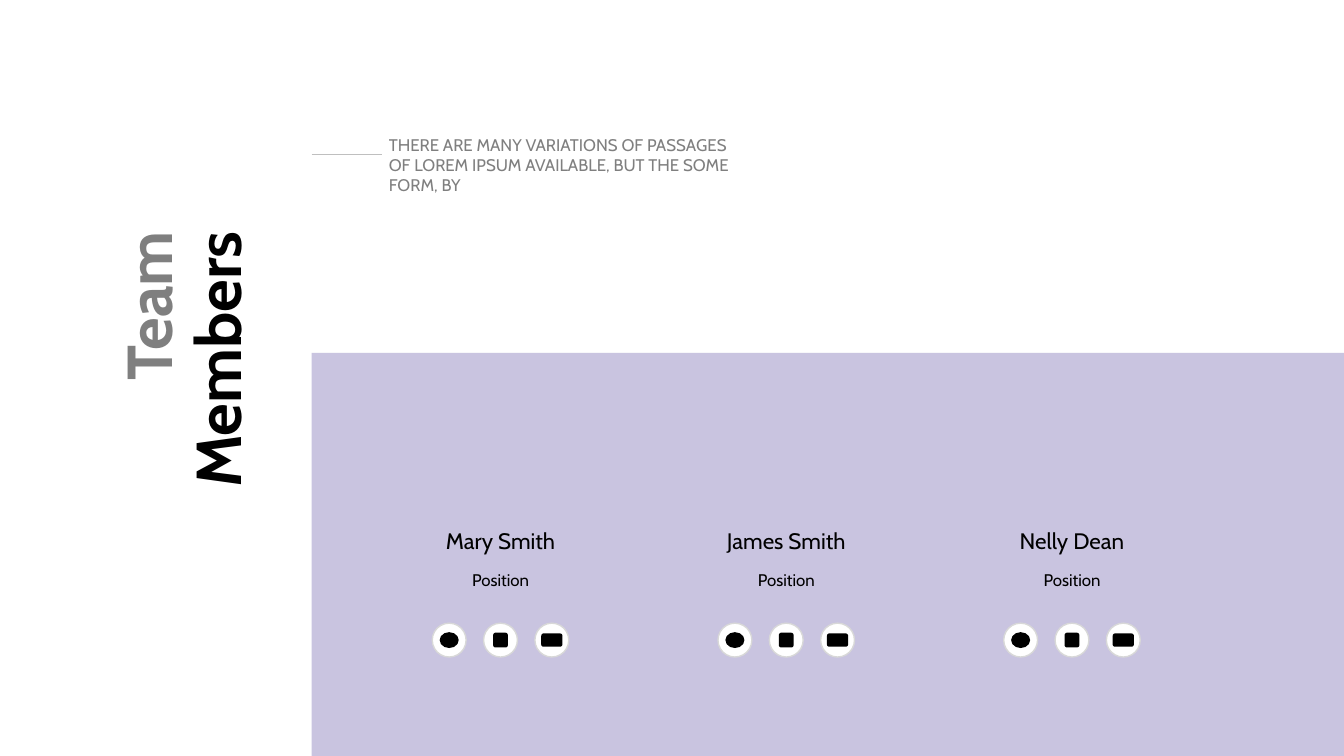
from dataclasses import dataclass

from lxml import etree
from pptx import Presentation
from pptx.dml.color import RGBColor
from pptx.enum.shapes import MSO_CONNECTOR, MSO_SHAPE
from pptx.enum.text import MSO_ANCHOR, MSO_AUTO_SIZE, PP_ALIGN
from pptx.oxml.ns import qn
from pptx.util import Cm, Pt

OVAL, RECT = MSO_SHAPE.OVAL, MSO_SHAPE.RECTANGLE
ROUNDED = MSO_SHAPE.ROUNDED_RECTANGLE
LEFT, CENTER, RIGHT = PP_ALIGN.LEFT, PP_ALIGN.CENTER, PP_ALIGN.RIGHT
TOP = MSO_ANCHOR.TOP
FIT_SHAPE, NO_FIT = MSO_AUTO_SIZE.SHAPE_TO_FIT_TEXT, MSO_AUTO_SIZE.NONE
STRAIGHT = MSO_CONNECTOR.STRAIGHT

FONT = "Cabin"
COLORS = {
    "panel": "A69DCC",
    "black": "000000",
    "white": "FFFFFF",
    "gray": "7F7F7F",
    "ring": "D8D8D8",
    "rule": "BFBFBF",
}

# Member columns and icon rows, in cm
FIRST_CENTER, MEMBER_STEP = 9.46, 5.4
ICON_Y, ICON_STEP, ICON_SIZE = 12.1, 0.97, 0.64


@dataclass
class Member:
    name: str
    position: str


@dataclass
class Icon:
    shape: int
    width: float
    height: float


MEMBERS = [
    Member("Mary Smith", "Position"),
    Member("James Smith", "Position"),
    Member("Nelly Dean", "Position"),
]
ICONS = [Icon(OVAL, 0.36, 0.3), Icon(ROUNDED, 0.28, 0.28), Icon(ROUNDED, 0.4, 0.25)]


def rgb(name: str) -> RGBColor:
    return RGBColor.from_string(COLORS[name])


def set_frame(tf, auto_size) -> None:
    tf.word_wrap = True
    tf.auto_size = auto_size
    tf.vertical_anchor = TOP
    tf.margin_left = tf.margin_right = Cm(0.18)
    tf.margin_top = tf.margin_bottom = Cm(0.1)


def add_run(p, text: str, size: float, color: str, bold: bool = False) -> None:
    r = p.add_run()
    r.text = text
    r.font.name = FONT
    r.font.size = Pt(size)
    r.font.bold = bold
    r.font.color.rgb = rgb(color)


def add_text(shapes, text: str, left: float, top: float, width: float, height: float,
             size: float, color: str, align=LEFT) -> None:
    box = shapes.add_textbox(Cm(left), Cm(top), Cm(width), Cm(height))
    set_frame(box.text_frame, FIT_SHAPE)
    p = box.text_frame.paragraphs[0]
    p.alignment = align
    add_run(p, text, size, color)


def add_centered(shapes, kind, x: float, y: float, width: float, height: float, color: str):
    sp = shapes.add_shape(kind, Cm(x - width / 2), Cm(y - height / 2), Cm(width), Cm(height))
    sp.shadow.inherit = False
    sp.fill.solid()
    sp.fill.fore_color.rgb = rgb(color)
    sp.line.fill.background()
    return sp


def add_member(shapes, member: Member, center: float) -> None:
    add_text(shapes, member.name, center - 1.93, 9.86, 3.86, 0.71, 12, "black", CENTER)
    add_text(shapes, member.position, center - 1.5, 10.67, 3, 0.58, 9, "black", CENTER)
    group = shapes.add_group_shape().shapes
    for i, icon in enumerate(ICONS):
        x = center + (i - 1) * ICON_STEP
        ring = add_centered(group, OVAL, x, ICON_Y, ICON_SIZE, ICON_SIZE, "white")
        ring.line.color.rgb = rgb("ring")
        ring.line.width = Pt(0.75)
        add_centered(group, icon.shape, x, ICON_Y, icon.width, icon.height, "black")


def main() -> None:
    prs = Presentation()
    prs.slide_width, prs.slide_height = Cm(25.4), Cm(14.29)
    s = prs.slides.add_slide(prs.slide_layouts[5])

    # Translucent panel
    panel = add_centered(s.shapes, RECT, 15.645, 10.48, 19.51, 7.62, "panel")
    fill = panel.fill.fore_color
    color = panel.element.spPr.find(qn("a:solidFill")).find(qn("a:srgbClr"))
    etree.SubElement(color, qn("a:alpha"), val="60000")

    # Team members
    for i, member in enumerate(MEMBERS):
        add_member(s.shapes, member, FIRST_CENTER + i * MEMBER_STEP)

    # Vertical title
    title = s.shapes.title
    title.left, title.top, title.width, title.height = Cm(-0.13), Cm(6.45), Cm(7.75), Cm(3.23)
    title.rotation = 270
    tf = title.text_frame
    set_frame(tf, NO_FIT)
    for i, (word, shade) in enumerate([("Team", "gray"), ("Members", "black")]):
        p = tf.add_paragraph() if i else tf.paragraphs[0]
        p.alignment = RIGHT
        p.line_spacing = 0.9
        add_run(p, word, 34, shade, bold=True)

    # Introduction with its rule
    add_text(s.shapes, "THERE ARE MANY VARIATIONS OF PASSAGES OF LOREM IPSUM AVAILABLE, "
             "BUT THE SOME FORM, BY", 7.17, 2.44, 6.78, 1.35, 9, "gray")
    rule = s.shapes.add_connector(STRAIGHT, Cm(5.89), Cm(2.92), Cm(7.21), Cm(2.92))
    rule.line.color.rgb = rgb("rule")
    rule.line.width = Pt(1)
    etree.SubElement(rule.element.spPr, qn("a:effectLst"))

    prs.save("out.pptx")


if __name__ == "__main__":
    main()
